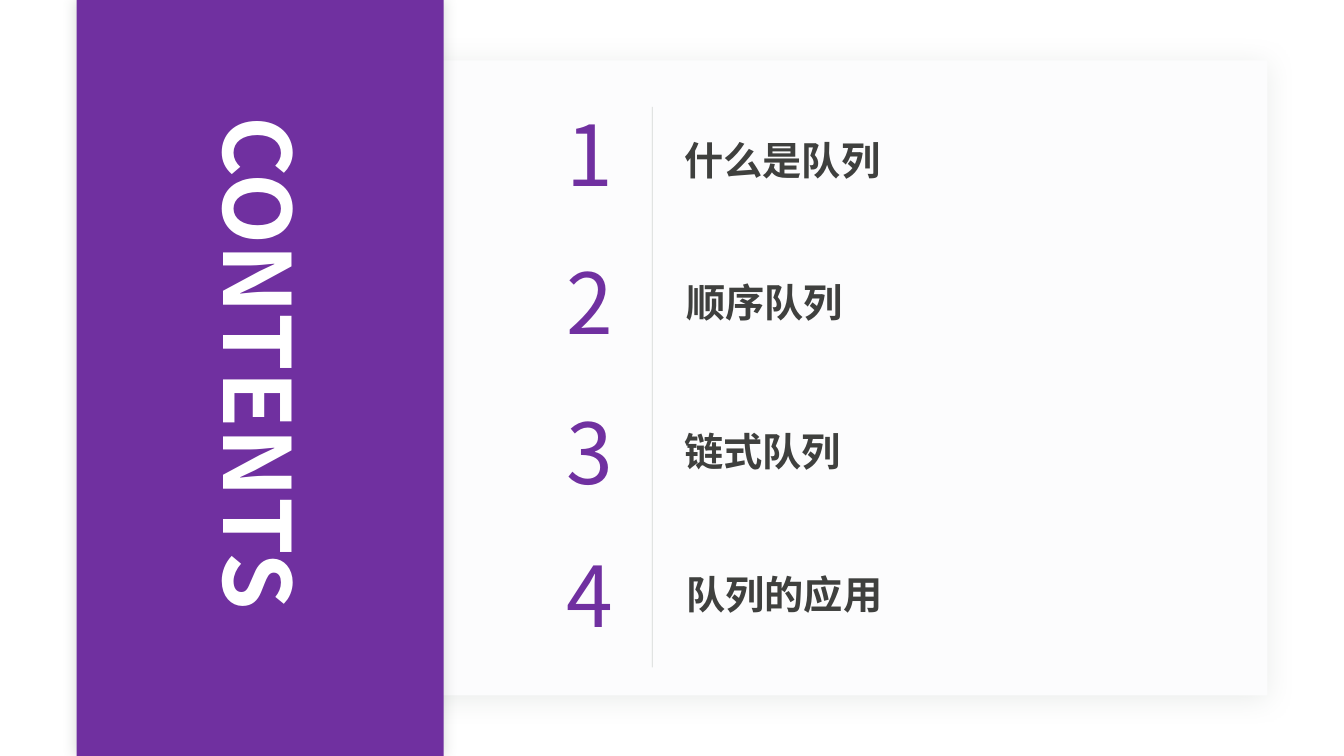
"""Build a contents slide with a vertical title band and four numbered topics."""
from dataclasses import dataclass

from lxml import etree
from pptx import Presentation
from pptx.dml.color import RGBColor
from pptx.enum.shapes import MSO_CONNECTOR, MSO_SHAPE
from pptx.enum.text import MSO_AUTO_SIZE, PP_ALIGN
from pptx.oxml.ns import qn
from pptx.util import Inches, Pt

RECTANGLE = MSO_SHAPE.RECTANGLE
STRAIGHT = MSO_CONNECTOR.STRAIGHT
GROW = MSO_AUTO_SIZE.SHAPE_TO_FIT_TEXT
LEFT, CENTER = PP_ALIGN.LEFT, PP_ALIGN.CENTER


@dataclass(frozen=True)
class Theme:
    """Hold the colours, font and type sizes of the slide."""
    font: str = "Noto Sans CJK SC"
    purple: str = "7030A0"
    white: str = "FFFFFF"
    panel: str = "FCFCFD"
    ink: str = "3F403E"
    grey: str = "969F98"
    title_size: int = 66
    number_size: int = 60
    topic_size: int = 28


THEME = Theme()
PANEL_BOX = (2.35, 0.6, 10.22, 6.3)
BAND_BOX = (0.76, 0, 3.64, 7.5)
TOPICS = [
    ("什么是队列", 0.37, 4.34, 0.7),
    ("顺序队列", 1.84, 4.36, 2.11),
    ("链式队列", 3.32, 4.34, 3.59),
    ("队列的应用", 4.74, 4.36, 5.01),
]


def add_element(parent, tag, **attributes):
    """Append a drawing element with the given attributes."""
    values = {name: str(value) for name, value in attributes.items()}
    return etree.SubElement(parent, qn(tag), values)


def add_text(page, box, text, size, color, bold=False, align=LEFT, spacing=None, rotation=0):
    """Add a one-line text box in the given format."""
    shape = page.shapes.add_textbox(*map(Inches, box))
    shape.rotation = rotation
    frame = shape.text_frame
    frame.word_wrap = False
    frame.auto_size = GROW
    para = frame.paragraphs[0]
    para.alignment = align
    span = para.add_run()
    span.text = text
    span.font.size = Pt(size)
    span.font.bold = bold
    span.font.name = THEME.font
    span.font.color.rgb = RGBColor.from_string(color)
    properties = span.font._element
    add_element(properties, "a:ea", typeface=THEME.font)
    if spacing is not None:
        properties.set("spc", str(spacing * 100))


def add_card(page, box, color, opacity, blur, distance, angle):
    """Add a plain rectangle with a soft outer shadow."""
    card = page.shapes.add_shape(RECTANGLE, *map(Inches, box))
    card.fill.solid()
    card.fill.fore_color.rgb = RGBColor.from_string(color)
    card.line.fill.background()
    card.shadow.inherit = False
    effects = card._element.spPr.find(qn("a:effectLst"))
    shadow = add_element(effects, "a:outerShdw", blurRad=Pt(blur), dist=Pt(distance),
                         dir=angle * 60000, algn="ctr", rotWithShape=0)
    tint = add_element(shadow, "a:srgbClr", val=THEME.grey)
    add_element(tint, "a:alpha", val=opacity * 1000)


def add_divider(page, x, top, bottom):
    """Add the thin translucent line between numbers and topics."""
    line = page.shapes.add_connector(STRAIGHT, *map(Inches, (x, top, x, bottom)))
    line.line.width = Pt(0.5)
    line.line.color.rgb = RGBColor.from_string(THEME.grey)
    properties = line._element.spPr
    add_element(next(properties.iter(qn("a:srgbClr"))), "a:alpha", val=40000)
    add_element(properties, "a:effectLst")


def draw_topics(page, box):
    """Draw the pale panel with its numbered topics."""
    left, top, width, height = box
    add_card(page, box, THEME.panel, opacity=20, blur=20, distance=3, angle=90)
    add_divider(page, left + 4.12, top + 0.46, top + height - 0.28)
    for number, (topic, number_top, topic_left, topic_top) in enumerate(TOPICS, 1):
        add_text(page, (left + 3.17, top + number_top, 0.59, 1.11), str(number),
                 THEME.number_size, THEME.purple, align=CENTER, spacing=-3)
        topic_width = 0.2 + len(topic) * 0.39
        add_text(page, (left + topic_left, top + topic_top, topic_width, 0.57), topic,
                 THEME.topic_size, THEME.ink, bold=True)


def draw_band(page, box):
    """Draw the purple band with its title turned to read downwards."""
    left, top, width, height = box
    add_card(page, box, THEME.purple, opacity=40, blur=10, distance=0, angle=0)
    title_width, title_height = 5.39, 1.21
    title_box = (left + (width - title_width) / 2, top + (height - title_height) / 2,
                 title_width, title_height)
    add_text(page, title_box, "CONTENTS", THEME.title_size, THEME.white,
             bold=True, rotation=90)


def main():
    """Build and save the deck."""
    deck = Presentation()
    deck.slide_width, deck.slide_height = Inches(13.33), Inches(7.5)
    page = deck.slides.add_slide(deck.slide_layouts[6])
    draw_topics(page, PANEL_BOX)
    draw_band(page, BAND_BOX)
    deck.save("out.pptx")


main()
